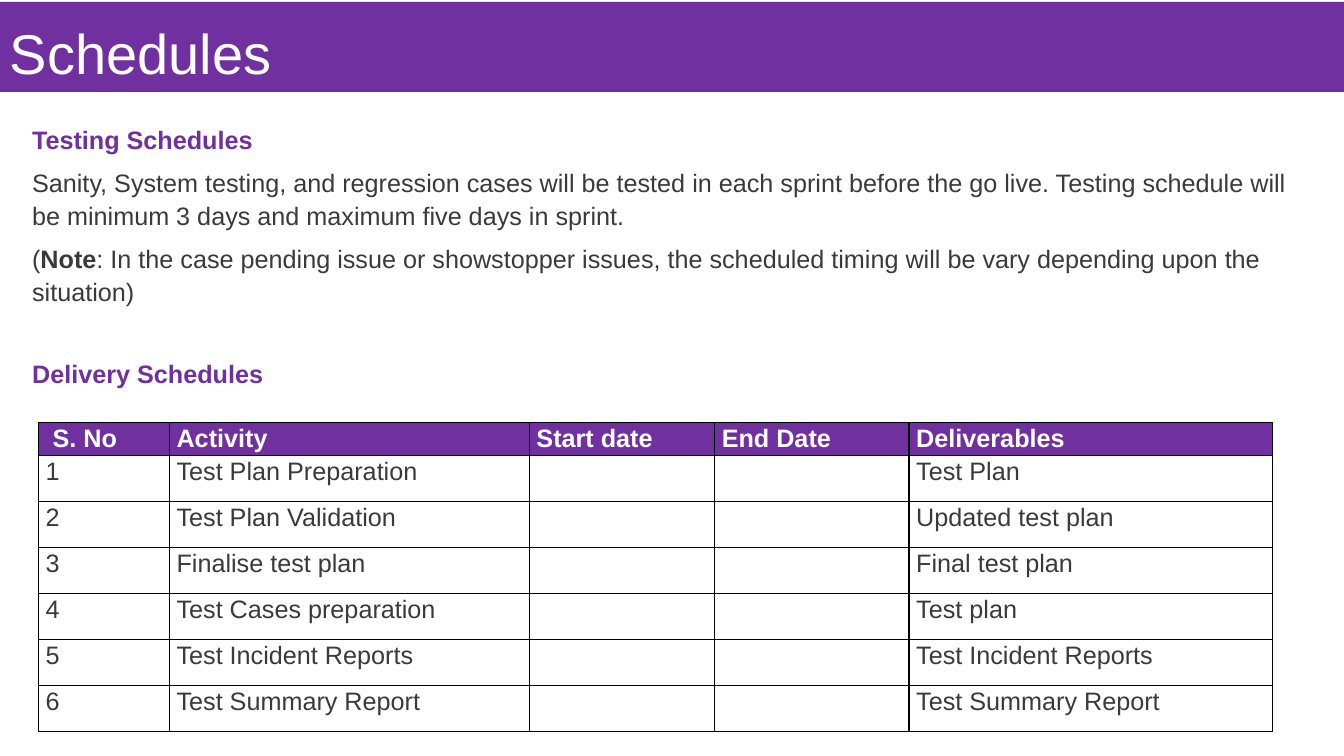
from dataclasses import dataclass

from lxml.etree import SubElement
from pptx import Presentation
from pptx.dml.color import RGBColor as RGB
from pptx.enum.shapes import MSO_SHAPE as SHAPE
from pptx.enum.text import MSO_ANCHOR as ANCHOR, PP_ALIGN as ALIGN
from pptx.oxml.ns import qn
from pptx.util import Cm, Pt


@dataclass(frozen=True)
class Theme:
    font: str = "Arial"
    purple: RGB = RGB(0x70, 0x30, 0xA0)
    body: RGB = RGB(0x3A, 0x3A, 0x3A)
    white: RGB = RGB(0xFF, 0xFF, 0xFF)
    border: str = "000000"
    title_size: int = 40
    text_size: int = 18


def apply(target, values):
    for name, value in values.items():
        setattr(target, name, value)


class Deck:
    def __init__(self, prs, theme):
        self.theme = theme
        self.s = prs.slides.add_slide(prs.slide_layouts[6])

    def add_runs(self, p, runs, color, size, fmt):
        """Fill a paragraph from (text, bold) pairs."""
        apply(p, fmt)
        for text, bold in runs:
            r = p.add_run()
            r.text = text
            apply(r.font, {"name": self.theme.font, "size": Pt(size), "bold": bold})
            r.font.color.rgb = color

    def add_body(self, p, runs, color, before=0):
        fmt = {"line_spacing": 1.07, "space_before": Pt(before), "space_after": Pt(8)}
        self.add_runs(p, runs, color, self.theme.text_size, fmt)

    def banner(self, box, text):
        sp = self.s.shapes.add_shape(SHAPE.RECTANGLE, *map(Cm, box))
        sp.shadow.inherit = False
        sp.fill.solid()
        sp.fill.fore_color.rgb = self.theme.purple
        sp.line.fill.background()
        tf = sp.text_frame
        apply(tf, {"word_wrap": True, "vertical_anchor": ANCHOR.BOTTOM})
        self.add_runs(tf.paragraphs[0], [(text, False)], self.theme.white,
                      self.theme.title_size,
                      {"line_spacing": 0.9, "alignment": ALIGN.LEFT})

    def text(self, box, paragraphs):
        tf = self.s.shapes.add_textbox(*map(Cm, box)).text_frame
        tf.word_wrap = True
        for i, (runs, color, before) in enumerate(paragraphs):
            p = tf.add_paragraph() if i else tf.paragraphs[0]
            self.add_body(p, runs, color, before)

    def cell(self, cell, text, header):
        th = self.theme
        apply(cell, {"margin_left": Cm(0.18), "margin_right": Cm(0.18),
                     "margin_top": 0, "margin_bottom": 0})
        # Borders come before the fill in the cell properties
        tc_pr = cell._tc.get_or_add_tcPr()
        for side in ("a:lnL", "a:lnR", "a:lnT", "a:lnB"):
            ln = SubElement(tc_pr, qn(side), w=str(Pt(1)))
            fill = SubElement(ln, qn("a:solidFill"))
            SubElement(fill, qn("a:srgbClr"), val=th.border)
        if header:
            cell.fill.solid()
            cell.fill.fore_color.rgb = th.purple
        else:
            cell.fill.background()
        if text:
            self.add_body(cell.text_frame.paragraphs[0], [(text, header)],
                          th.white if header else th.body)

    def table(self, left, top, widths, heights, rows):
        size = map(Cm, (left, top, sum(widths), sum(heights)))
        tbl = self.s.shapes.add_table(len(rows), len(widths), *size).table
        tbl.horz_banding = False
        for col, width in zip(tbl.columns, widths):
            col.width = Cm(width)
        for i, (row, height, texts) in enumerate(zip(tbl.rows, heights, rows)):
            row.height = Cm(height)
            for cell, text in zip(row.cells, texts):
                self.cell(cell, text, header=i == 0)


def main():
    prs = Presentation()
    apply(prs, {"slide_width": Cm(33.87), "slide_height": Cm(19.05)})
    th = Theme()
    deck = Deck(prs, th)

    # Title band
    deck.banner((0, 0.05, 33.87, 2.27), "Schedules")

    # Schedule notes
    deck.text((0.56, 2.95, 32.69, 7.4), [
        ([("Testing Schedules", True)], th.purple, 0),
        ([("Sanity, System testing, and regression cases will be tested in each sprint "
           "before the go live. Testing schedule will be minimum 3 days and maximum "
           "five days in sprint.", False)], th.body, 0),
        ([("(", False), ("Note", True),
          (": In the case pending issue or showstopper issues, the scheduled timing "
           "will be vary depending upon the situation)", False)], th.body, 0),
        ([("Delivery Schedules", True)], th.purple, 28),
    ])

    # Delivery table: the two date columns are still open
    deliveries = [
        ("Test Plan Preparation", "Test Plan"),
        ("Test Plan Validation", "Updated test plan"),
        ("Finalise test plan", "Final test plan"),
        ("Test Cases preparation", "Test plan"),
        ("Test Incident Reports", "Test Incident Reports"),
        ("Test Summary Report", "Test Summary Report"),
    ]
    rows = [(" S. No", "Activity", "Start date", "End Date", "Deliverables")]
    rows += [(str(n), activity, "", "", result)
             for n, (activity, result) in enumerate(deliveries, 1)]
    deck.table(0.97, 10.64, [3.3, 9.07, 4.67, 4.9, 9.15],
               [0.84] + [1.16] * len(deliveries), rows)

    prs.save("out.pptx")


if __name__ == "__main__":
    main()
